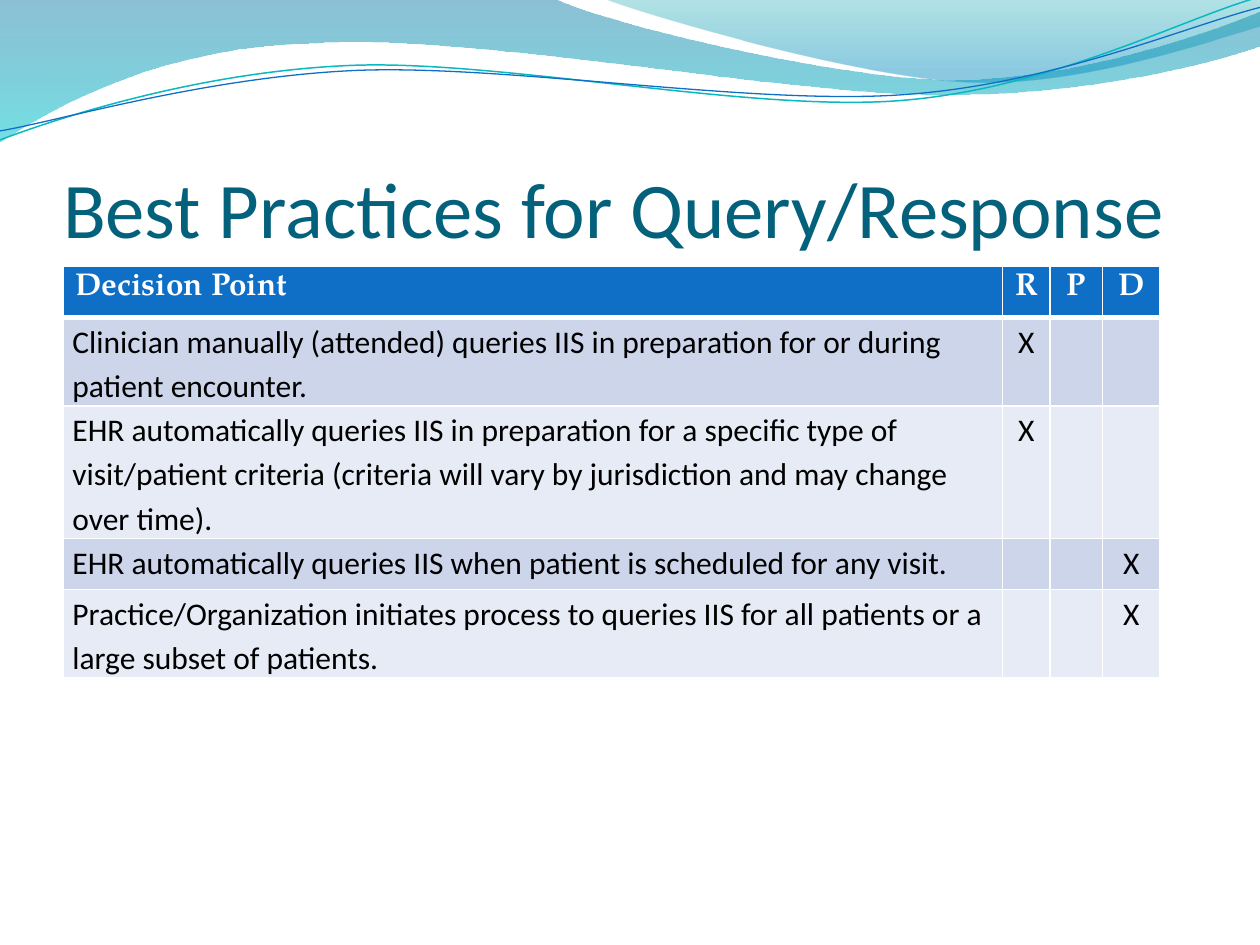
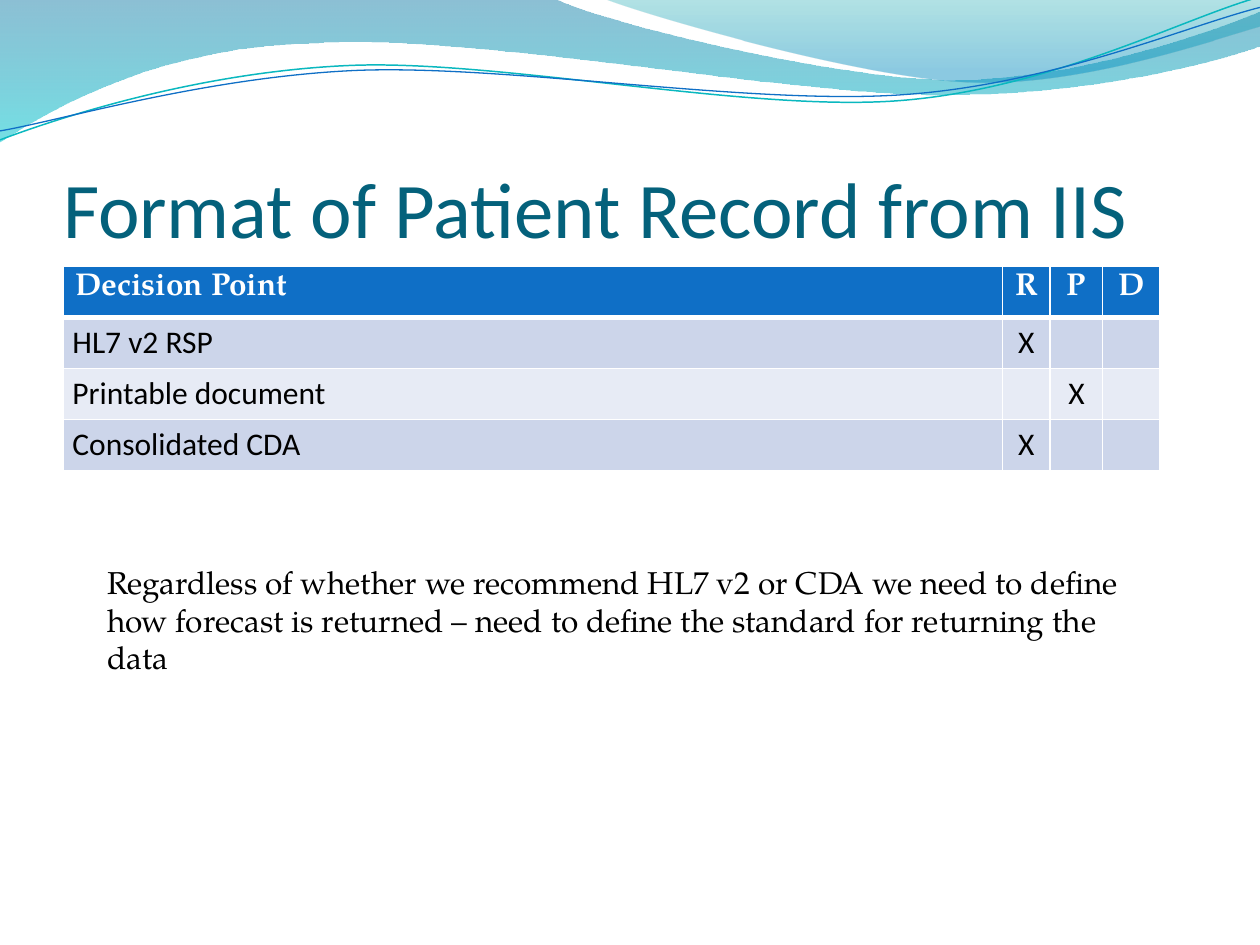
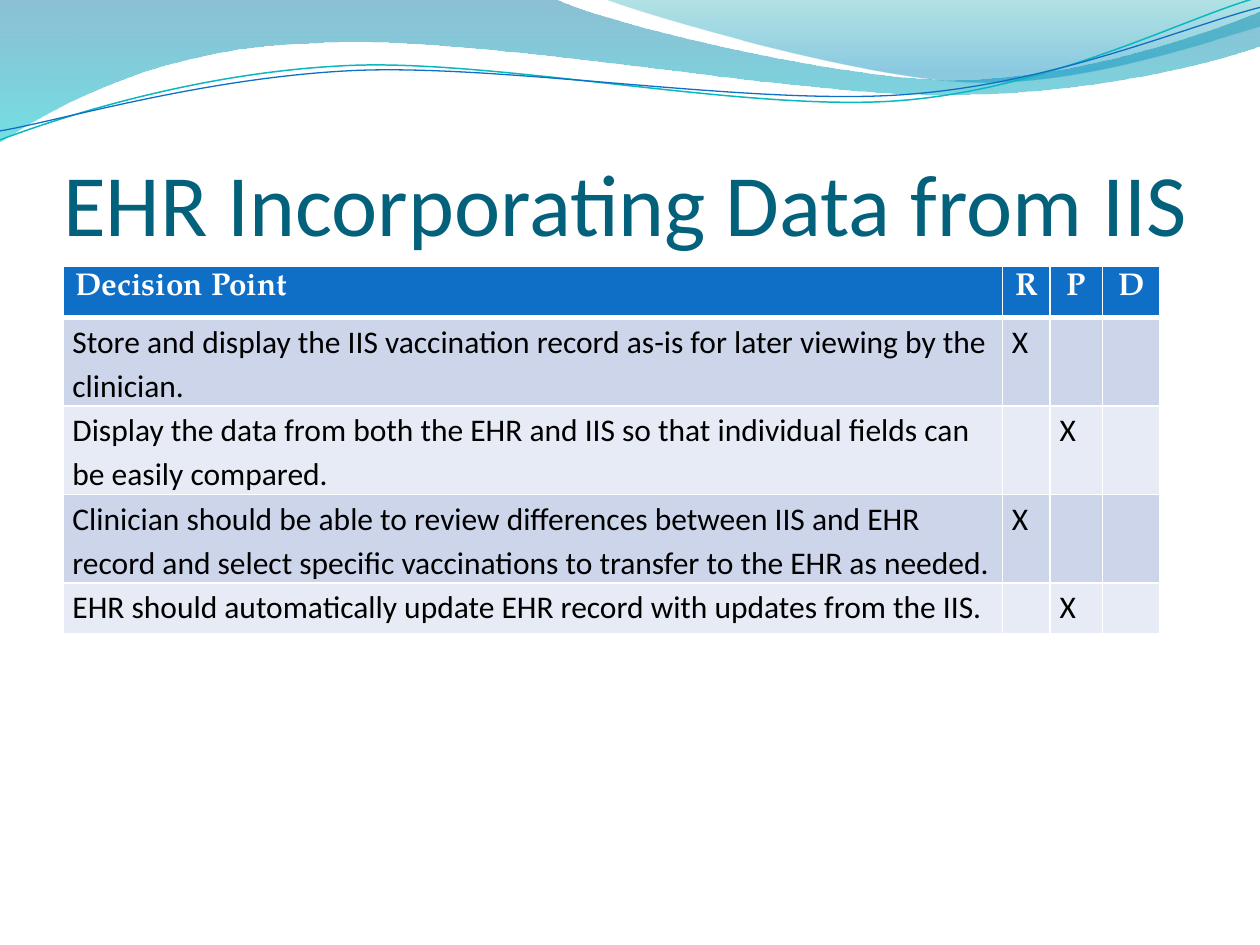
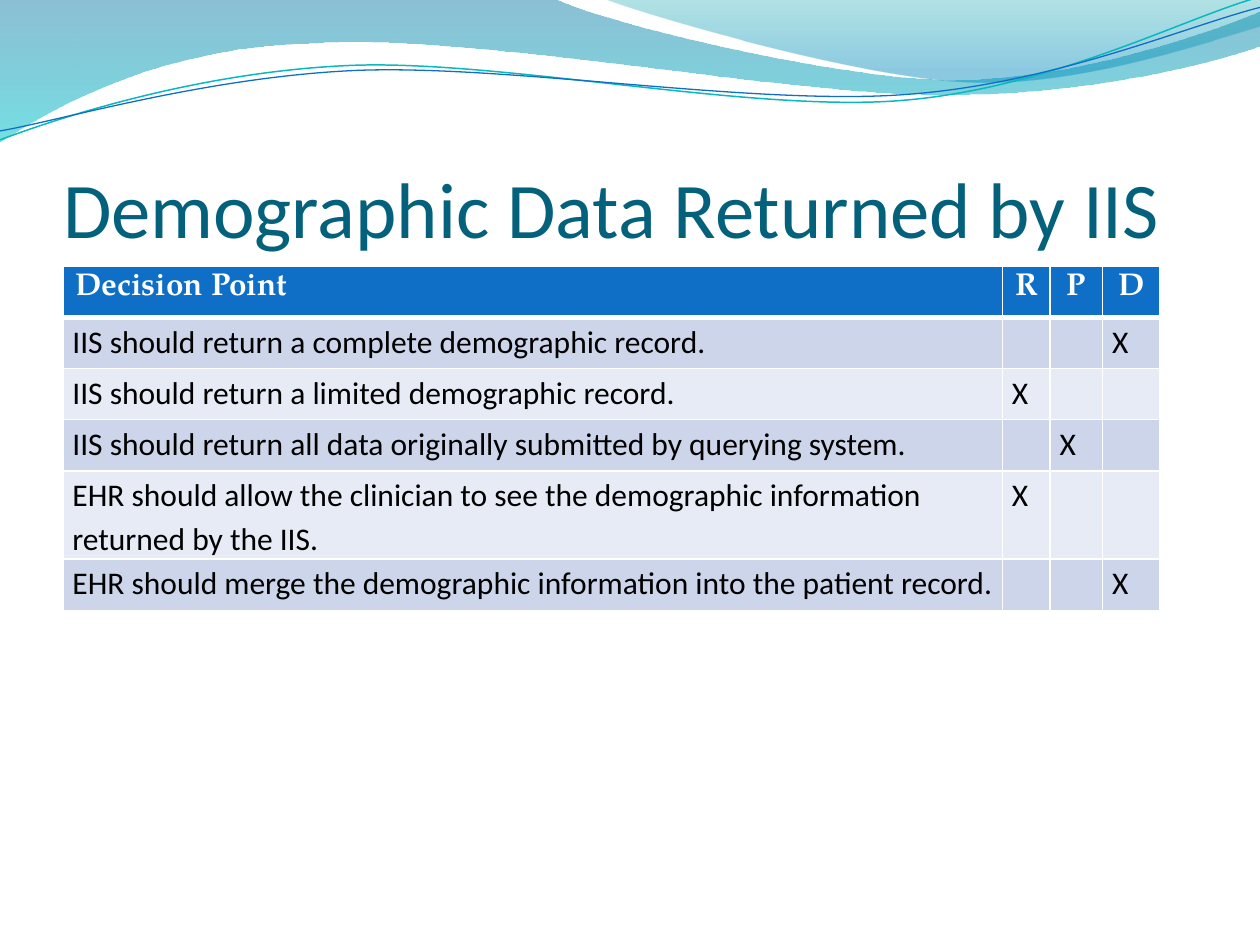
from math import cos, radians, sin

from lxml.etree import SubElement
from pptx import Presentation
from pptx.dml.color import RGBColor
from pptx.enum.text import MSO_ANCHOR, MSO_AUTO_SIZE, PP_ALIGN
from pptx.oxml.ns import qn
from pptx.util import Cm, Pt

WHITE = RGBColor(0xFF, 0xFF, 0xFF)
BLACK = RGBColor(0x00, 0x00, 0x00)
TITLE_TEAL = RGBColor(0x04, 0x61, 0x7B)
BLUE = RGBColor(0x0F, 0x6F, 0xC6)
AQUA = RGBColor(0x0A, 0xB8, 0xBF)
ROW_FILLS = (RGBColor(0xE7, 0xEB, 0xF5), RGBColor(0xCC, 0xD5, 0xEA))
SANS, SERIF = "Calibri", "TeX Gyre Pagella"

HEADINGS = ("Decision Point", "R", "P", "D")
COLUMN_WIDTHS = (18.94, 0.96, 1.06, 1.15)
ROW_HEIGHT = 1.03
LEFT = 1.27

# Each row is a decision and the heading of the column that is marked.
SLIDES = [
    {
        "title": "Best Practices for Query/Response",
        "size": 45,
        "mark_align": PP_ALIGN.CENTER,
        "rows": [
            ("Clinician manually (attended) queries IIS in preparation for or during "
             "patient encounter.", "R"),
            ("EHR automatically queries IIS in preparation for a specific type of "
             "visit/patient criteria (criteria will vary by jurisdiction and may change "
             "over time).", "R"),
            ("EHR automatically queries IIS when patient is scheduled for any visit.", "D"),
            ("Practice/Organization initiates process to queries IIS for all patients or a "
             "large subset of patients.", "D"),
        ],
    },
    {
        "title": "Format of Patient Record from IIS",
        "size": 45,
        "mark_align": PP_ALIGN.CENTER,
        "rows": [
            ("HL7 v2 RSP", "R"),
            ("Printable document", "P"),
            ("Consolidated CDA", "R"),
        ],
        "remark": "Regardless of whether we recommend HL7 v2 or CDA we need to define how "
                  "forecast is returned – need to define the standard for returning the data",
    },
    {
        "title": "EHR Incorporating Data from IIS",
        "size": 50,
        "mark_align": PP_ALIGN.LEFT,
        "rows": [
            ("Store and display the IIS vaccination record as-is for later viewing by the "
             "clinician.", "R"),
            ("Display the data from both the EHR and IIS so that individual fields can "
             "be easily compared.", "P"),
            ("Clinician should be able to review differences between IIS and EHR "
             "record and select specific vaccinations to transfer to the EHR as needed.", "R"),
            ("EHR should automatically update EHR record with updates from the IIS.", "P"),
        ],
    },
    {
        "title": "Demographic Data Returned by IIS",
        "size": 45,
        "mark_align": PP_ALIGN.LEFT,
        "rows": [
            ("IIS should return a complete demographic record.", "D"),
            ("IIS should return a limited demographic record.", "R"),
            ("IIS should return all data originally submitted by querying system.", "P"),
            ("EHR should allow the clinician to see the demographic information "
             "returned by the IIS.", "R"),
            ("EHR should merge the demographic information into the patient record.", "D"),
        ],
    },
]

# Outlines in centimetres: a start point, then segments of one point (straight)
# or three points (cubic curve). Stops are position, colour, opacity in percent.
BANDS = [
    {
        "start": (0, 0),
        "segments": [
            [(11.18, -0.03)],
            [(12.09, 0.43), (16.87, 1.6), (19.25, 1.6)],
            [(21.67, 1.6), (24.33, 0.66), (25.4, 0.23)],
            [(25.43, 0.91)],
            [(24.97, 1.12), (22.1, 1.93), (18.95, 1.91)],
            [(15.8, 1.91), (9.7, 0.71), (6.53, 0.86)],
            [(3.25, 0.91), (1.17, 2.11), (-0.03, 2.87)],
            [(0, 0)],
        ],
        "stops": [(0, RGBColor(0x00, 0x74, 0xA1), 45), (1, RGBColor(0x00, 0xC6, 0xCF), 55)],
    },
    {
        "start": (12.17, -0.03),
        "segments": [
            [(12.93, 0.28), (17.32, 1.57), (19.53, 1.65)],
            [(21.74, 1.75), (24.41, 0.81), (25.4, 0.53)],
            [(25.4, 0)],
            [(12.17, -0.03)],
        ],
        "stops": [(0, RGBColor(0x00, 0xA1, 0xA9), 30), (0.8, RGBColor(0x00, 0x8B, 0xBF), 45)],
    },
]
WAVE_TILT = 357.3
WAVE_LINES = [
    {
        "start": (0, 2.82),
        "segments": [
            [(1.22, 2.36), (4.01, 1.45), (7.04, 1.32)],
            [(10.03, 1.19), (15.06, 2.26), (18.11, 2.03)],
            [(21.16, 1.8), (23.83, 0.38), (25.35, -0.05)],
        ],
        "centre": (12.67, 1.46),
        "colour": AQUA,
        "width": 0.85,
    },
    {
        "start": (0, 2.64),
        "segments": [
            [(1.19, 2.44), (4.17, 1.55), (7.19, 1.42)],
            [(10.24, 1.3), (15.16, 2.13), (18.21, 1.91)],
            [(21.23, 1.7), (23.9, 0.53), (25.4, 0.15)],
        ],
        "centre": (12.69, 1.5),
        "colour": BLUE,
        "width": 0.75,
    },
]


def turn(point, centre, degrees):
    """Turn a point clockwise about a centre."""
    angle = radians(degrees)
    dx, dy = point[0] - centre[0], point[1] - centre[1]
    return (centre[0] + dx * cos(angle) - dy * sin(angle),
            centre[1] + dx * sin(angle) + dy * cos(angle))


def add_outline(page, outline, close, tilt=0):
    """Draw straight segments through all points, then join each three as a curve."""
    points = [outline["start"]] + [point for segment in outline["segments"] for point in segment]
    if tilt:
        points = [turn(point, outline["centre"], -tilt) for point in points]
    places = [(Cm(x), Cm(y)) for x, y in points]
    builder = page.shapes.build_freeform(*places[0])
    builder.add_line_segments(places[1:], close=close)
    shape = builder.convert_to_shape()
    shape.shadow.inherit = False
    shape.rotation = tilt
    steps = iter(list(shape.element.iter(qn("a:lnTo"))))
    for segment in outline["segments"]:
        first, *others = [next(steps) for _ in segment]
        if others:
            first.tag = qn("a:cubicBezTo")
            for step in others:
                first.append(step[0])
                step.getparent().remove(step)
    return shape


def add_band(page, band):
    shape = add_outline(page, band, close=True)
    shape.line.fill.background()
    shape.fill.gradient()
    shape.fill.gradient_angle = 270
    for stop, (position, colour, _) in zip(shape.fill.gradient_stops, band["stops"]):
        stop.position = position
        stop.color.rgb = colour
    for colour, (_, _, opacity) in zip(shape.element.iter(qn("a:srgbClr")), band["stops"]):
        SubElement(colour, qn("a:alpha"), val=str(opacity * 1000))
    return shape


def add_wave_line(page, wave):
    shape = add_outline(page, wave, close=False, tilt=WAVE_TILT)
    shape.fill.background()
    shape.line.color.rgb = wave["colour"]
    shape.line.width = Pt(wave["width"])
    return shape


def prepare_layout(layout, page):
    """Place the title and move the waves, drawn on page, behind it in the layout."""
    title = layout.placeholders[0]
    title.left, title.top, title.width, title.height = Cm(LEFT), Cm(1.96), Cm(22.86), Cm(3.17)
    waves = [add_band(page, band) for band in BANDS]
    lines = [add_wave_line(page, wave) for wave in WAVE_LINES]
    waves.append(page.shapes.add_group_shape(lines))
    for wave in waves:
        title.element.addprevious(wave.element)


def format_text(paragraph, size, font, colour, bold=False):
    for span in paragraph.runs:
        span.font.size = Pt(size)
        span.font.name = font
        span.font.color.rgb = colour
        span.font.bold = bold


def set_title(page, text, size):
    frame = page.shapes.title.text_frame
    frame.text = text
    frame.auto_size = MSO_AUTO_SIZE.NONE
    frame.vertical_anchor = MSO_ANCHOR.BOTTOM
    frame.margin_left = frame.margin_right = frame.margin_bottom = 0
    frame.margin_top = Cm(0.13)
    frame.paragraphs[0].alignment = PP_ALIGN.LEFT
    format_text(frame.paragraphs[0], size, SANS, TITLE_TEAL)


def set_borders(cell, top, bottom):
    properties = cell._tc.get_or_add_tcPr()
    for side, points in (("L", 1), ("R", 1), ("T", top), ("B", bottom)):
        line = SubElement(properties, qn(f"a:ln{side}"), w=str(Pt(points)))
        fill = SubElement(line, qn("a:solidFill"))
        SubElement(fill, qn("a:srgbClr"), val=str(WHITE))


def fill_heading(cell, text, align):
    set_borders(cell, top=1, bottom=3)
    cell.fill.solid()
    cell.fill.fore_color.rgb = BLUE
    cell.text_frame.text = text
    paragraph = cell.text_frame.paragraphs[0]
    paragraph.alignment = align
    format_text(paragraph, 18, SERIF, WHITE, bold=True)


def fill_body_cell(cell, row, text, align):
    set_borders(cell, top=3 if row == 1 else 1, bottom=1)
    cell.fill.solid()
    cell.fill.fore_color.rgb = ROW_FILLS[row % 2]
    if not text:
        return
    cell.margin_left = cell.margin_right = Cm(0.19)
    cell.margin_top = cell.margin_bottom = 0
    cell.text_frame.text = text
    paragraph = cell.text_frame.paragraphs[0]
    paragraph.alignment = align
    paragraph.line_spacing = 1.15
    format_text(paragraph, 18, SANS, BLACK)


def add_decision_table(page, decisions, mark_align):
    row_count = len(decisions) + 1
    table = page.shapes.add_table(row_count, len(HEADINGS), Cm(LEFT), Cm(5.37),
                                  Cm(sum(COLUMN_WIDTHS)), Cm(ROW_HEIGHT * row_count)).table
    for row in table.rows:
        row.height = Cm(ROW_HEIGHT)
    for column, (heading, width) in enumerate(zip(HEADINGS, COLUMN_WIDTHS)):
        table.columns[column].width = Cm(width)
        fill_heading(table.cell(0, column), heading,
                     PP_ALIGN.CENTER if column else PP_ALIGN.LEFT)
        for row, (decision, marked) in enumerate(decisions, start=1):
            mark = "X" if heading == marked else ""
            fill_body_cell(table.cell(row, column), row, mark if column else decision,
                           mark_align if column else PP_ALIGN.LEFT)


def add_remark(page, text):
    box = page.shapes.add_textbox(Cm(1.91), Cm(11.22), Cm(21.59), Cm(1.8))
    frame = box.text_frame
    frame.word_wrap = True
    frame.auto_size = MSO_AUTO_SIZE.SHAPE_TO_FIT_TEXT
    frame.text = text
    format_text(frame.paragraphs[0], 18, SERIF, BLACK)


def main():
    deck = Presentation()
    deck.slide_width, deck.slide_height = Cm(25.4), Cm(19.05)
    layout = deck.slide_layouts.get_by_name("Title Only")
    for content in SLIDES:
        page = deck.slides.add_slide(layout)
        if len(deck.slides) == 1:
            prepare_layout(layout, page)
        set_title(page, content["title"], content["size"])
        add_decision_table(page, content["rows"], content["mark_align"])
        if "remark" in content:
            add_remark(page, content["remark"])
    deck.save("out.pptx")


if __name__ == "__main__":
    main()
